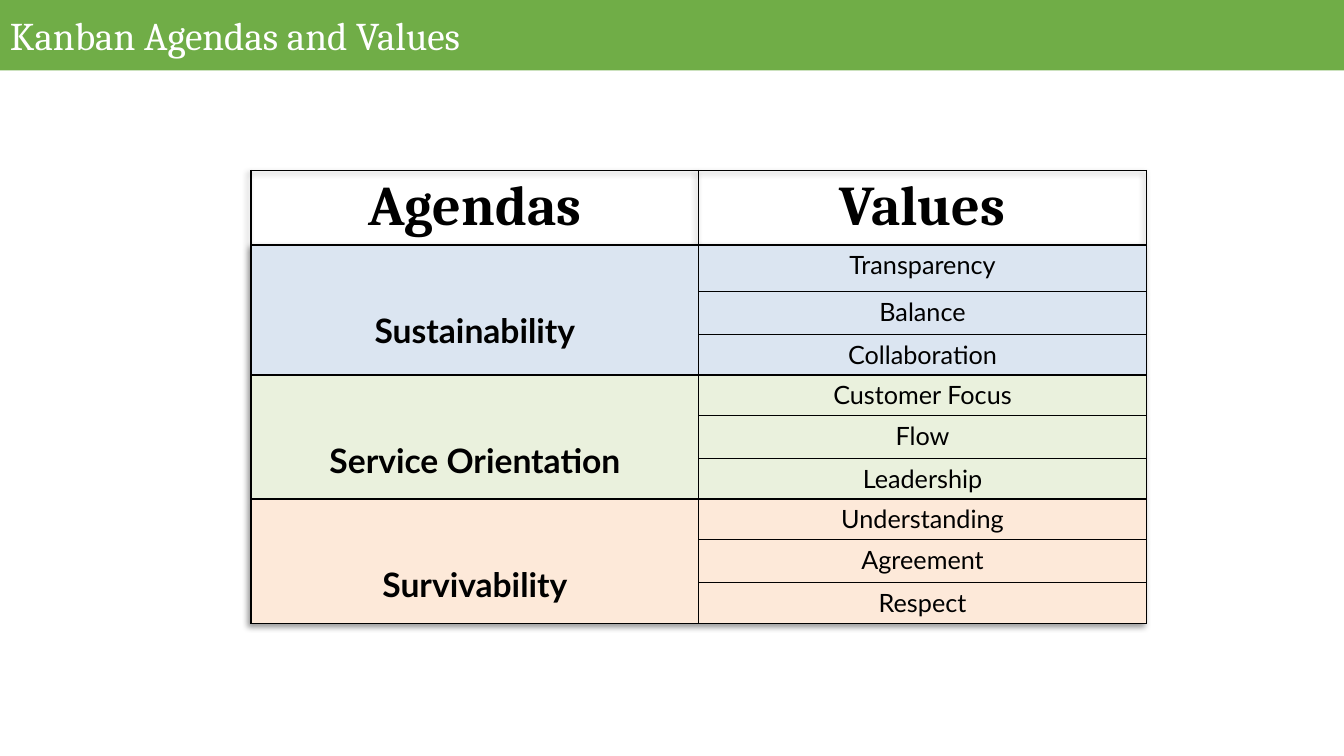
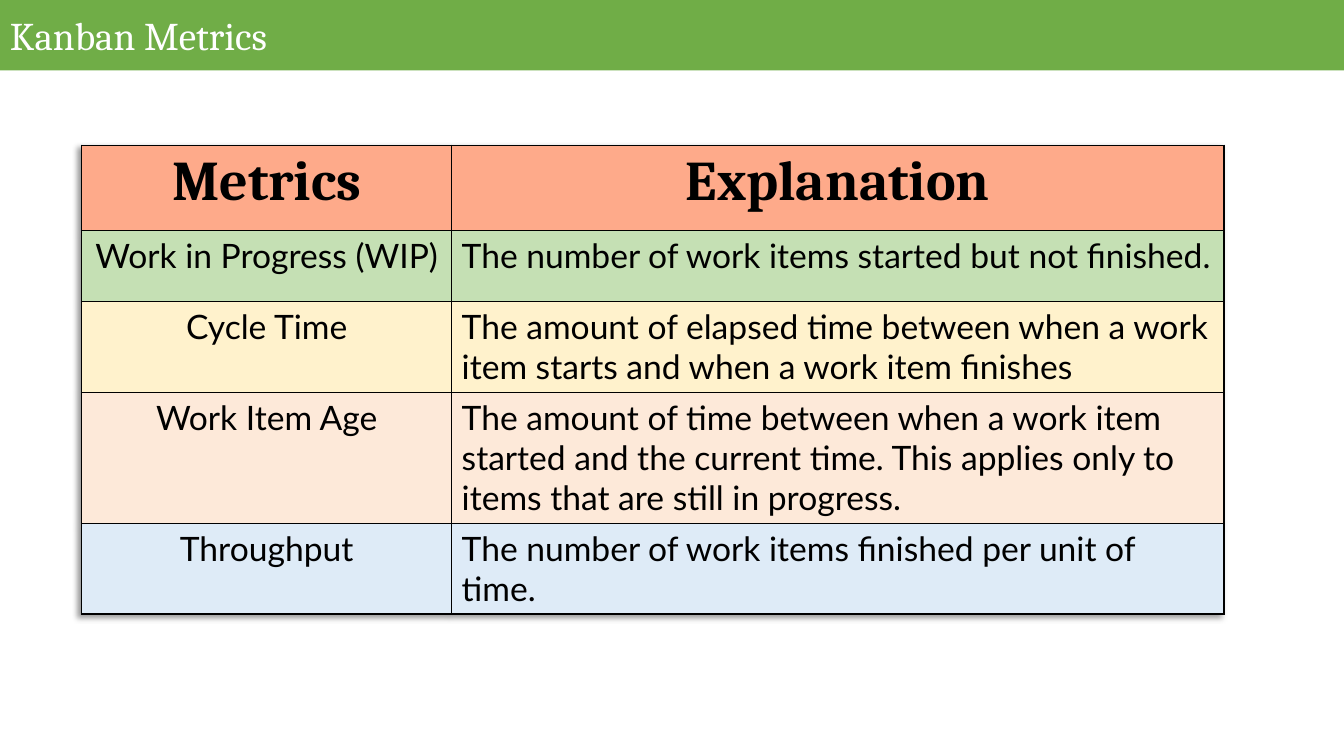
from dataclasses import dataclass

from lxml import etree
from pptx import Presentation
from pptx import util as u
from pptx.dml.color import RGBColor
from pptx.enum import shapes, text
from pptx.oxml import parse_xml
from pptx.oxml.ns import nsdecls, qn

CENTER, LEFT = text.PP_ALIGN.CENTER, text.PP_ALIGN.LEFT
NO_STYLE = "{2D5ABB26-0587-4C30-8999-92F81FD0307C}"


@dataclass(frozen=True)
class Font:
    name: str
    size: int
    color: str = "000000"
    bold: bool = False


class Theme:
    band = "70AD47"
    border = "000000"
    border_width = 1
    salmon = "FEAA8A"
    blue = "DBE5F1"
    green = "EAF1DD"
    peach = "FDE9D9"
    leaf = "C5E0B4"
    cream = "FFF2CC"
    sky = "DEEBF7"
    title = Font("Cambria", 28, "FFFFFF")
    header = Font("Cambria", 40, bold=True)
    agenda = Font("Lato", 24, bold=True)
    value = Font("Lato", 18)
    body = Font("Lato", 24)


class Deck:
    def __init__(self):
        self.prs = Presentation()
        self.prs.slide_width = u.Inches(13.33)
        self.prs.slide_height = u.Inches(7.5)

    def slide(self, title):
        """Start a slide with its title band."""
        self.s = self.prs.slides.add_slide(self.prs.slide_layouts[6])
        sp = self.s.shapes.add_shape(shapes.MSO_SHAPE.RECTANGLE, 0, 0,
                                     self.prs.slide_width, u.Inches(0.7))
        sp.shadow.inherit = False
        sp.fill.solid()
        sp.fill.fore_color.rgb = RGBColor.from_string(Theme.band)
        sp.line.fill.background()
        sp.text_frame.word_wrap = True
        sp.text_frame.vertical_anchor = text.MSO_ANCHOR.MIDDLE
        self.add_text(sp.text_frame, title, Theme.title, LEFT)

    def add_text(self, tf, words, font, align, spacing=None):
        p = tf.paragraphs[0]
        p.alignment = align
        if spacing:
            p.line_spacing = spacing
        r = p.add_run()
        r.text = words
        r.font.name = font.name
        r.font.size = u.Pt(font.size)
        r.font.bold = font.bold
        r.font.color.rgb = RGBColor.from_string(font.color)

    def table(self, left, top, widths, heights):
        """Add an unstyled table with a soft shadow and bordered cells."""
        frame = self.s.shapes.add_table(
            len(heights), len(widths), u.Inches(left), u.Inches(top),
            u.Inches(sum(widths)), u.Inches(sum(heights)))
        tbl = frame.table
        tbl.first_row = tbl.horz_banding = False
        props = frame._element.graphic.graphicData.tbl.tblPr
        props.find(qn("a:tableStyleId")).text = NO_STYLE
        props.insert(0, parse_xml(
            f'<a:effectLst {nsdecls("a")}><a:outerShdw blurRad="50800" '
            'dist="38100" dir="8100000" algn="tr" rotWithShape="0">'
            '<a:srgbClr val="000000"><a:alpha val="40000"/></a:srgbClr>'
            '</a:outerShdw></a:effectLst>'))
        for column, width in zip(tbl.columns, widths):
            column.width = u.Inches(width)
        for row, height in zip(tbl.rows, heights):
            row.height = u.Inches(height)
        for cell in tbl.iter_cells():
            self.borders(cell)
        return tbl

    def borders(self, cell):
        props = cell._tc.get_or_add_tcPr()
        for side in ("lnL", "lnR", "lnT", "lnB"):
            ln = etree.SubElement(props, qn(f"a:{side}"),
                                  w=str(u.Pt(Theme.border_width)))
            fill = etree.SubElement(ln, qn("a:solidFill"))
            etree.SubElement(fill, qn("a:srgbClr"), val=Theme.border)

    def cell(self, cell, words, font, fill=None, align=CENTER, spacing=None):
        if fill:
            cell.fill.solid()
            cell.fill.fore_color.rgb = RGBColor.from_string(fill)
        else:
            cell.fill.background()
        self.add_text(cell.text_frame, words, font, align, spacing)


def agendas_slide(deck):
    agendas = [
        ("Sustainability", Theme.blue,
         ["Transparency", "Balance", "Collaboration"]),
        ("Service Orientation", Theme.green,
         ["Customer Focus", "Flow", "Leadership"]),
        ("Survivability", Theme.peach,
         ["Understanding", "Agreement", "Respect"]),
    ]
    deck.slide("Kanban Agendas and Values")
    heights = [0.74, 0.46, 0.43, 0.4] + [0.4, 0.43, 0.4] * 2
    tbl = deck.table(2.49, 1.69, [4.44, 4.44], heights)
    for col, words in enumerate(["Agendas", "Values"]):
        deck.cell(tbl.cell(0, col), words, Theme.header)
    for i, (agenda, fill, values) in enumerate(agendas):
        first = 1 + i * len(values)
        top = tbl.cell(first, 0)
        top.merge(tbl.cell(first + len(values) - 1, 0))
        deck.cell(top, agenda, Theme.agenda, fill, spacing=2.5)
        for row, value in enumerate(values, first):
            deck.cell(tbl.cell(row, 1), value, Theme.value, fill)


def metrics_slide(deck):
    metrics = [
        ("Work in Progress (WIP)", Theme.leaf,
         "The number of work items started but not finished."),
        ("Cycle Time", Theme.cream,
         "The amount of elapsed time between when a work item starts "
         "and when a work item finishes"),
        ("Work Item Age", Theme.peach,
         "The amount of time between when a work item started and the current "
         "time. This applies only to items that are still in progress."),
        ("Throughput", Theme.sky,
         "The number of work items finished per unit of time."),
    ]
    deck.slide("Kanban Metrics")
    tbl = deck.table(0.81, 1.44, [3.67, 7.66], [0.85, 0.7, 0.9, 1.3, 0.9])
    for col, words in enumerate(["Metrics", "Explanation"]):
        deck.cell(tbl.cell(0, col), words, Theme.header, Theme.salmon)
    for row, (metric, fill, explanation) in enumerate(metrics, 1):
        deck.cell(tbl.cell(row, 0), metric, Theme.body, fill)
        deck.cell(tbl.cell(row, 1), explanation, Theme.body, fill, LEFT)


def main():
    deck = Deck()
    agendas_slide(deck)
    metrics_slide(deck)
    deck.prs.save("out.pptx")


if __name__ == "__main__":
    main()
